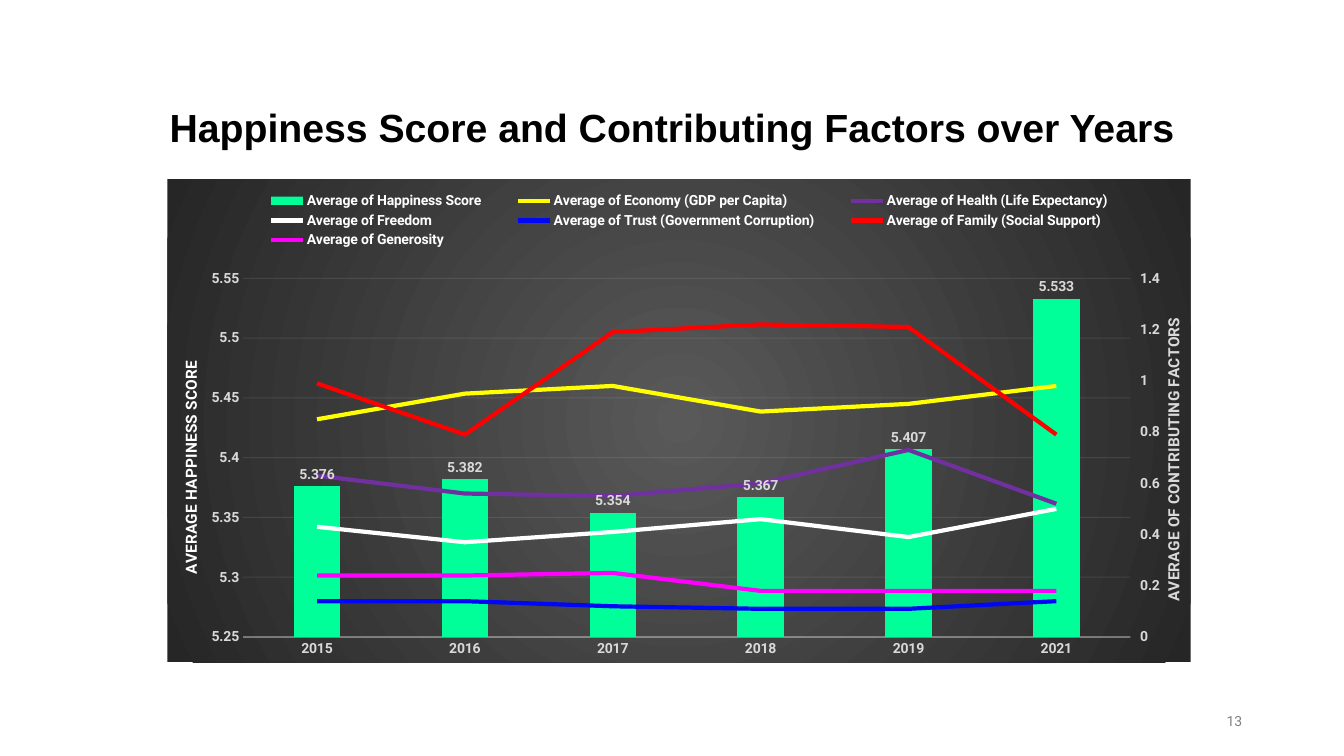
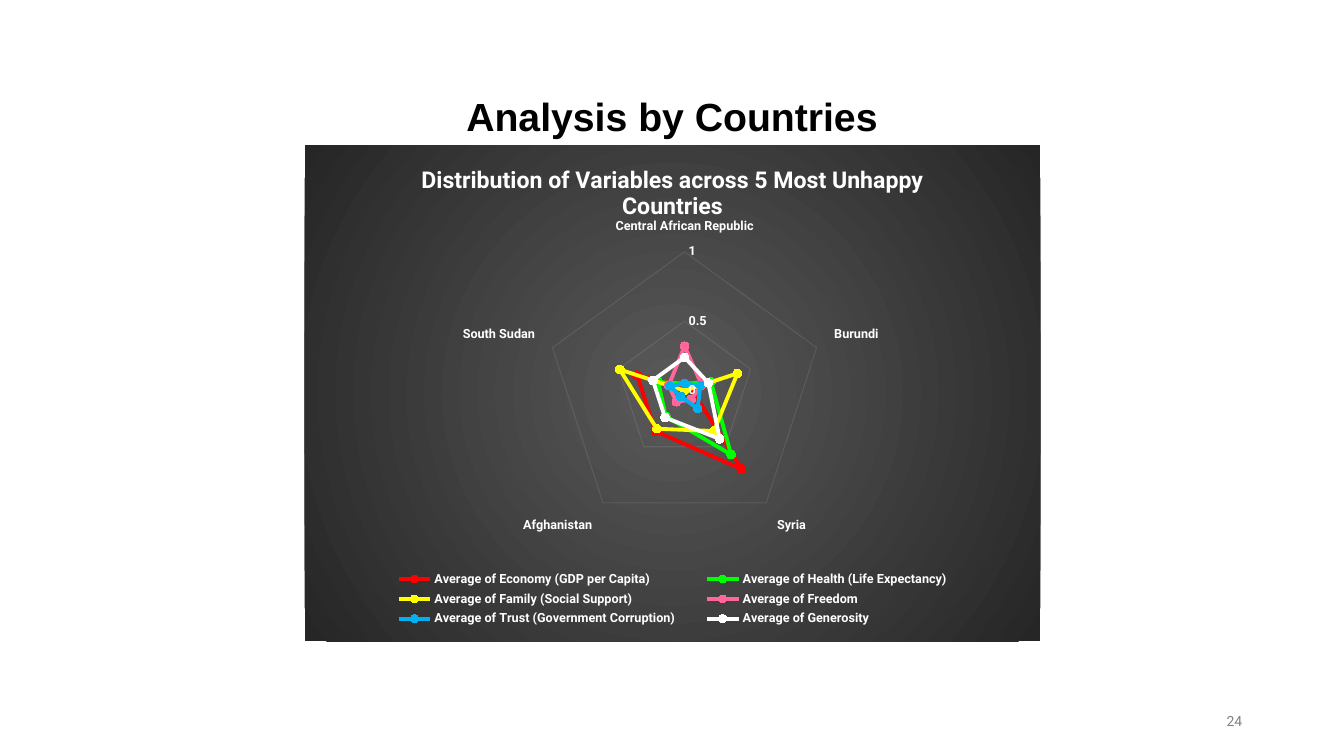
from copy import deepcopy
from dataclasses import dataclass
from typing import Any, NamedTuple

from pptx import Presentation
from pptx.chart.axis import ValueAxis
from pptx.chart.data import CategoryChartData
from pptx.dml.color import RGBColor
from pptx.enum.chart import XL_CHART_TYPE as ChartType, XL_LABEL_POSITION as LabelPosition
from pptx.enum.chart import XL_LEGEND_POSITION as LegendPosition, XL_MARKER_STYLE as MarkerStyle
from pptx.enum.chart import XL_TICK_MARK as TickMark
from pptx.enum.shapes import MSO_SHAPE as ShapeKind
from pptx.enum.text import MSO_ANCHOR as Anchor, MSO_AUTO_SIZE as AutoSize, PP_ALIGN as Align
from pptx.oxml import parse_xml
from pptx.oxml.ns import nsdecls, qn
from pptx.util import Inches, Pt

WHITE, BLACK, GRAY, LIGHT, RULE = "FFFFFF", "000000", "808080", "D9D9D9", "F2F2F2"
TITLE_FONT, BODY_FONT = "Arial", "Roboto"
GRADIENT = (
    f'<c:spPr {nsdecls("c", "a")}><a:gradFill><a:gsLst>'
    '<a:gs pos="0"><a:srgbClr val="595959"/></a:gs>'
    '<a:gs pos="100000"><a:srgbClr val="262626"/></a:gs></a:gsLst>'
    '<a:path path="circle"><a:fillToRect l="50000" t="50000" r="50000" b="50000"/></a:path>'
    "</a:gradFill><a:ln><a:noFill/></a:ln></c:spPr>"
)


class Box(NamedTuple):
    left: float
    top: float
    width: float
    height: float


class Series(NamedTuple):
    name: str
    color: str
    values: tuple


@dataclass(frozen=True)
class ChartSlide:
    title: str
    number: str
    title_box: Box
    chart_box: Box
    kind: Any
    categories: tuple
    series: tuple
    plot_area: Box
    legend: Any
    legend_area: Box
    label_size: float
    axis_color: str


ECONOMY, HEALTH = "Average of Economy (GDP per Capita)", "Average of Health (Life Expectancy)"
TRUST, FAMILY = "Average of Trust (Government Corruption)", "Average of Family (Social Support)"
FREEDOM, GENEROSITY = "Average of Freedom", "Average of Generosity"

YEARS = ChartSlide(
    "Happiness Score and Contributing Factors over Years", "13",
    Box(1.01, 0.97, 11.31, 0.57), Box(1.66, 1.78, 10.15, 4.79),
    ChartType.COLUMN_CLUSTERED, ("2015", "2016", "2017", "2018", "2019", "2021"),
    (
        Series("Average of Happiness Score", "00FF99", (5.376, 5.382, 5.354, 5.367, 5.407, 5.533)),
        Series(ECONOMY, "FFFF00", (0.85, 0.95, 0.98, 0.88, 0.91, 0.98)),
        Series(HEALTH, "7030A0", (0.63, 0.56, 0.55, 0.6, 0.73, 0.52)),
        Series(FREEDOM, WHITE, (0.43, 0.37, 0.41, 0.46, 0.39, 0.5)),
        Series(TRUST, "0006F6", (0.14, 0.14, 0.12, 0.11, 0.11, 0.14)),
        Series(FAMILY, "FF0000", (0.99, 0.79, 1.19, 1.22, 1.21, 0.79)),
        Series(GENEROSITY, "FF00FF", (0.24, 0.24, 0.25, 0.18, 0.18, 0.18)),
    ),
    Box(0.074, 0.205, 0.867, 0.743), LegendPosition.TOP, Box(0.07, 0.02, 0.88, 0.13), 10, LIGHT,
)
COUNTRIES = ChartSlide(
    "Analysis by Countries", "24",
    Box(0.96, 0.87, 11.41, 0.57), Box(3.02, 1.44, 7.3, 4.92), ChartType.RADAR_MARKERS,
    ("Central African Republic", "Burundi", "Syria", "Afghanistan", "South Sudan"),
    (
        Series(ECONOMY, "FF0000", (0.03, 0.05, 0.7, 0.36, 0.36)),
        Series(HEALTH, "00FF00", (0.05, 0.2, 0.57, 0.23, 0.2)),
        Series(FAMILY, "FFFF00", (0, 0.4, 0.36, 0.34, 0.49)),
        Series(FREEDOM, "FF6699", (0.32, 0.13, 0.08, 0.1, 0.12)),
        Series(TRUST, "00B0F0", (0.05, 0.12, 0.16, 0.05, 0.11)),
        Series(GENEROSITY, WHITE, (0.24, 0.18, 0.43, 0.24, 0.24)),
    ),
    Box(0.313, 0.215, 0.407, 0.56), LegendPosition.BOTTOM, Box(0.09, 0.85, 0.82, 0.13), 9, WHITE,
)


def assign(target: Any, formats: dict) -> None:
    for name, value in formats.items():
        setattr(target, name, value)


def rgb(color: str) -> RGBColor:
    return RGBColor.from_string(color)


def style_fill(fill: Any, color: str) -> None:
    fill.solid()
    fill.fore_color.rgb = rgb(color)


def style_font(font: Any, size: float, color: str, bold: bool = True, name: str = BODY_FONT) -> None:
    assign(font, {"size": Pt(size), "bold": bold, "name": name})
    font.color.rgb = rgb(color)


def style_line(line: Any, color: str, width: float) -> None:
    line.color.rgb = rgb(color)
    line.width = Pt(width)


def fade(element: Any, percent: int) -> None:
    alpha = parse_xml(f'<a:alpha {nsdecls("a")} val="{percent * 1000}"/>')
    element.find(".//" + qn("a:srgbClr")).append(alpha)


def place(parent: Any, area: tuple, target: str = "") -> None:
    for layout in parent.findall(qn("c:layout")):
        parent.remove(layout)
    values = "".join(f'<c:{key} val="{value}"/>' for key, value in zip("xywh", area))
    layout = parse_xml(
        f'<c:layout {nsdecls("c")}><c:manualLayout>{target}<c:xMode val="edge"/>'
        f'<c:yMode val="edge"/>{values}</c:manualLayout></c:layout>'
    )
    leads = [child for child in parent if child.tag in (qn("c:tx"), qn("c:legendPos"))]
    parent.insert(len(leads), layout)


def title_axis(axis: Any, text: str, color: str, corner: tuple) -> None:
    title = axis.axis_title
    title.text_frame.text = text
    style_font(title.text_frame.paragraphs[0].runs[0].font, 11, color)
    title.element.find(".//" + qn("a:bodyPr")).set("rot", "-5400000")
    place(title.element, corner)


def scale_axis(axis: Any, low: float, high: float, step: float) -> None:
    assign(axis, {"minimum_scale": low, "maximum_scale": high, "major_unit": step})


def style_axes(chart: Any, size: float, color: str) -> None:
    category, value = chart.category_axis, chart.value_axis
    for axis in (category, value):
        assign(axis, {"major_tick_mark": TickMark.NONE, "minor_tick_mark": TickMark.NONE})
        style_font(axis.tick_labels.font, size, color)
    category.has_major_gridlines = False
    value.has_major_gridlines = True
    assign(value.tick_labels, {"number_format": "General", "number_format_is_linked": False})
    value.format.line.fill.background()
    for part, width, opacity in ((category, 1, 54), (value.major_gridlines, 0.75, 10)):
        style_line(part.format.line, RULE, width)
        fade(part.format.element, opacity)


def add_right_axis(chart: Any) -> Any:
    category, value = chart.category_axis.format.element, chart.value_axis.format.element
    right, hidden = deepcopy(value), deepcopy(category)
    for element, settings in (
        (right, {"axId": "5002", "crossAx": "5001", "axPos": "r", "crosses": "max"}),
        (hidden, {"axId": "5001", "crossAx": "5002", "delete": "1"}),
    ):
        for tag, setting in settings.items():
            element.find(qn(f"c:{tag}")).set("val", setting)
    value.addnext(right)
    right.addnext(hidden)
    axis = ValueAxis(right)
    assign(axis, {"has_major_gridlines": False, "major_tick_mark": TickMark.OUTSIDE})
    return axis


def move_factors_to_lines(chart: Any) -> None:
    bars = chart.element.find(".//" + qn("c:barChart"))
    lines = parse_xml(
        f'<c:lineChart {nsdecls("c")}><c:grouping val="standard"/><c:varyColors val="0"/>'
        '<c:marker val="1"/><c:axId val="5001"/><c:axId val="5002"/></c:lineChart>'
    )
    for series in bars.findall(qn("c:ser"))[1:]:
        for invert in series.findall(qn("c:invertIfNegative")):
            series.remove(invert)
        lines.find(qn("c:marker")).addprevious(series)
    bars.addnext(lines)


def finish_years(chart: Any) -> None:
    chart.has_title = False
    left = chart.value_axis
    scale_axis(left, 5.25, 5.55, 0.05)
    title_axis(left, "AVERAGE HAPPINESS SCORE", WHITE, (0.01, 0.37))
    right = add_right_axis(chart)
    scale_axis(right, 0, 1.4, 0.2)
    title_axis(right, "AVERAGE OF CONTRIBUTING FACTORS", LIGHT, (0.97, 0.28))
    move_factors_to_lines(chart)
    bars, lines = chart.plots
    assign(bars, {"gap_width": 219, "overlap": -27})
    style_fill(bars.series[0].format.fill, YEARS.series[0].color)
    labels = bars.series[0].data_labels
    assign(labels, {"show_value": True, "position": LabelPosition.OUTSIDE_END,
                    "number_format": "#,##0.000", "number_format_is_linked": False})
    style_font(labels.font, 10, LIGHT)
    for series, factor in zip(lines.series, YEARS.series[1:]):
        style_line(series.format.line, factor.color, 3)
        series.smooth = False
        series.marker.style = MarkerStyle.NONE


def finish_countries(chart: Any) -> None:
    frame = chart.chart_title.text_frame
    frame.text = "Distribution of Variables across 5 Most Unhappy Countries"
    style_font(frame.paragraphs[0].runs[0].font, 16.5, WHITE)
    scale_axis(chart.value_axis, 0, 1, 0.5)
    for series, factor in zip(chart.plots[0].series, COUNTRIES.series):
        style_line(series.format.line, factor.color, 2.75)
        assign(series.marker, {"style": MarkerStyle.CIRCLE, "size": 6})
        style_fill(series.marker.format.fill, factor.color)
        style_line(series.marker.format.line, factor.color, 0.75)


def add_chart(slide: Any, content: ChartSlide) -> Any:
    data = CategoryChartData()
    data.categories = content.categories
    for series in content.series:
        data.add_series(series.name, series.values)
    chart = slide.shapes.add_chart(content.kind, *map(Inches, content.chart_box), data).chart
    style_font(chart.font, 10, WHITE)
    chart.element.find(qn("c:chart")).addnext(parse_xml(GRADIENT))
    chart.plots[0].vary_by_categories = False
    chart.has_legend = True
    assign(chart.legend, {"position": content.legend, "include_in_layout": False})
    style_font(chart.legend.font, content.label_size, WHITE)
    style_axes(chart, content.label_size, content.axis_color)
    place(chart.element.find(".//" + qn("c:legend")), content.legend_area)
    place(chart.element.find(".//" + qn("c:plotArea")), content.plot_area,
          '<c:layoutTarget val="inner"/>')
    return chart


def write(shape: Any, text: str, align: Any, formats: dict, **font: Any) -> None:
    assign(shape.text_frame, {"word_wrap": True, "text": text, **formats})
    paragraph = shape.text_frame.paragraphs[0]
    paragraph.alignment = align
    style_font(paragraph.runs[0].font, **font)


def add_layout_panel(slide: Any, layout: Any) -> None:
    panel = slide.shapes.add_shape(ShapeKind.RECTANGLE, *map(Inches, Box(1, 0.85, 11.33, 5.8)))
    panel.shadow.inherit = False
    style_fill(panel.fill, WHITE)
    panel.line.fill.background()
    fade(panel.element, 90)
    panel.element.find(".//" + qn("p:cNvPr")).set("id", "20")
    layout.shapes.element.append(panel.element)


def add_slide(presentation: Any, layout: Any, content: ChartSlide) -> Any:
    slide = presentation.slides.add_slide(layout)
    title = slide.shapes.title
    assign(title, dict(zip(Box._fields, map(Inches, content.title_box))))
    write(title, content.title, Align.CENTER,
          {"vertical_anchor": Anchor.TOP, "auto_size": AutoSize.SHAPE_TO_FIT_TEXT},
          size=28, color=BLACK, name=TITLE_FONT)
    number = slide.shapes.add_textbox(*map(Inches, Box(9.42, 6.95, 3, 0.4)))
    write(number, content.number, Align.RIGHT, {"vertical_anchor": Anchor.MIDDLE},
          size=10, color=GRAY, bold=False)
    return slide


def main() -> None:
    presentation = Presentation()
    assign(presentation, {"slide_width": Inches(13.33), "slide_height": Inches(7.5)})
    layout = presentation.slide_layouts[5]
    years = add_slide(presentation, layout, YEARS)
    add_layout_panel(years, layout)
    finish_years(add_chart(years, YEARS))
    countries = add_slide(presentation, layout, COUNTRIES)
    finish_countries(add_chart(countries, COUNTRIES))
    presentation.save("out.pptx")


if __name__ == "__main__":
    main()
